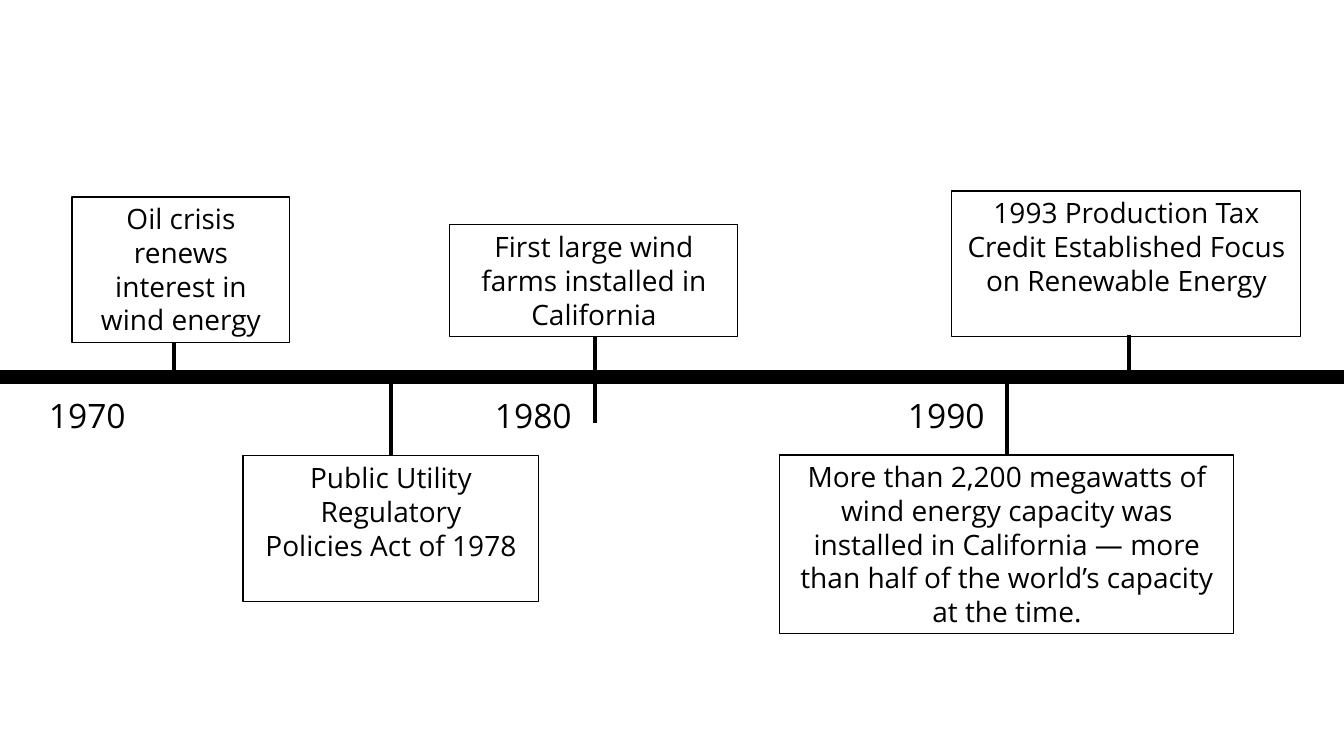
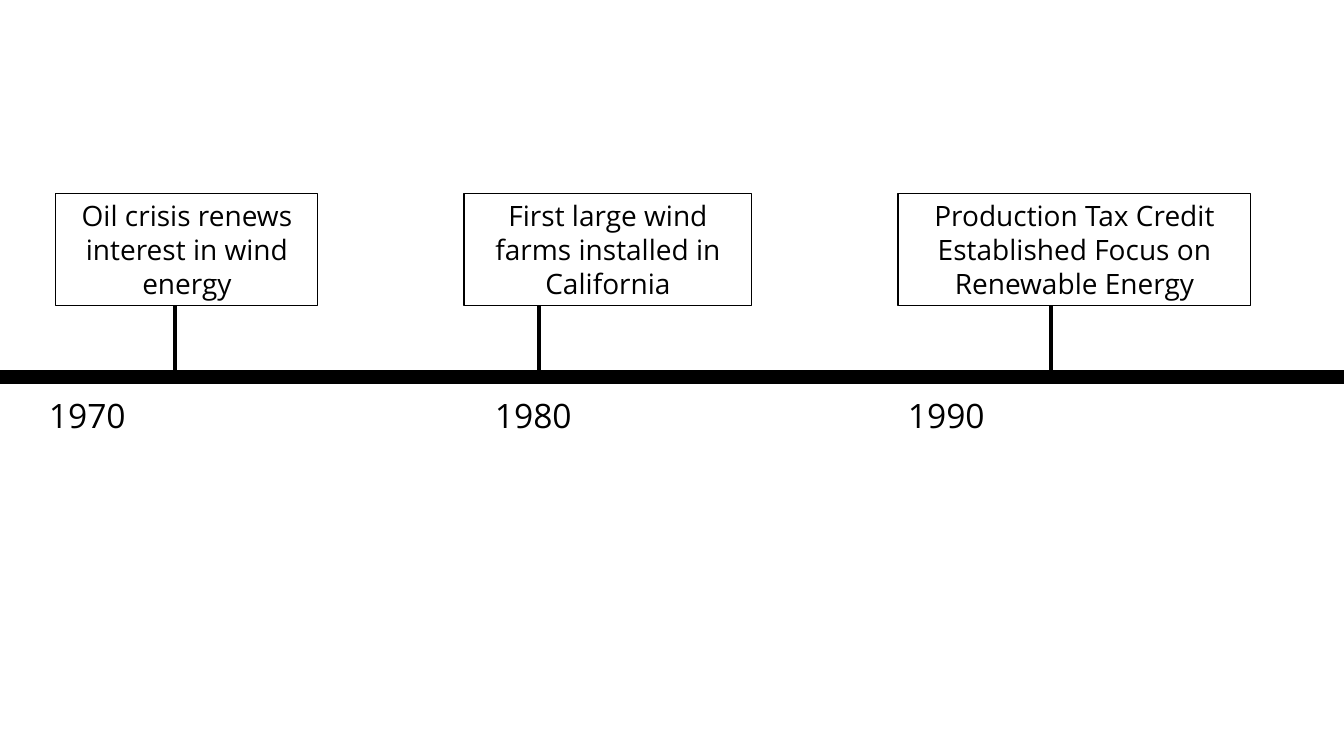
"""Build two wind energy timeline slides from 1970 to 1990."""
import pptx
import pptx.dml.color
import pptx.enum.shapes
import pptx.enum.text
import pptx.oxml.ns
import pptx.util

COLORS = {"ink": "000000", "paper": "FFFFFF"}
FONT = "Open Sans"
PIXELS_PER_INCH = 100.8
SLIDE_WIDTH, SLIDE_HEIGHT = 1344, 756
AXIS_Y = 377
YEAR_TOP, YEAR_WIDTH, YEAR_HEIGHT = 390, 110, 50

OIL_CRISIS = "Oil crisis renews interest in wind energy"
WIND_FARMS = "First large wind farms installed in California"
YEARS = [("1970", 39), ("1980", 485), ("1990", 898)]

SLIDES = [
    {
        "events": [
            ([WIND_FARMS], (450, 225, 288, 112)),
            ([OIL_CRISIS], (72, 197, 218, 146)),
            (["Public Utility Regulatory", "Policies Act of 1978"], (243, 456, 296, 146)),
            (["1993 Production Tax Credit Established Focus on Renewable Energy"],
             (952, 191, 349, 146)),
            (["More than 2,200 megawatts of wind energy capacity was installed in "
              "California — more than half of the world’s capacity at the time."],
             (780, 455, 454, 179)),
        ],
        "stems": [(595, 423, 337), (1007, 456, 371), (1129, 371, 335),
                  (391, 456, 384), (174, 378, 343)],
    },
    {
        "events": [
            ([WIND_FARMS], (464, 194, 288, 112)),
            ([OIL_CRISIS], (56, 194, 262, 112)),
            (["Production Tax Credit Established Focus on Renewable Energy"],
             (898, 194, 353, 112)),
        ],
        "stems": [(x, AXIS_Y, 306) for x in (539, 175, 1051)],
    },
]


def pixels(value):
    return pptx.util.Inches(value / PIXELS_PER_INCH)


def color(name):
    return pptx.dml.color.RGBColor.from_string(COLORS[name])


def add_text(slide, paragraphs, box, size=20, align="LEFT", border=None):
    shape = slide.shapes.add_textbox(*map(pixels, box))
    if border:
        shape.line.color.rgb = color("ink")
        shape.line.width = pptx.util.Pt(border)
    frame = shape.text_frame
    frame.word_wrap = True
    frame.text = "\n".join(paragraphs)
    for paragraph in frame.paragraphs:
        paragraph.alignment = getattr(pptx.enum.text.PP_ALIGN, align)
        font = paragraph.runs[0].font
        font.name, font.size = FONT, pptx.util.Pt(size)
        font.color.rgb = color("ink")


def add_line(slide, start, end, width):
    connector = slide.shapes.add_connector(
        pptx.enum.shapes.MSO_CONNECTOR.STRAIGHT, *map(pixels, start + end))
    connector.line.color.rgb = color("ink")
    connector.line.width = pptx.util.Pt(width)
    properties = connector._element.spPr
    properties.append(properties.makeelement(pptx.oxml.ns.qn("a:effectLst"), {}))


def add_timeline(slide):
    add_line(slide, (0, AXIS_Y), (SLIDE_WIDTH, AXIS_Y), 10)
    for year, left in YEARS:
        add_text(slide, [year], (left, YEAR_TOP, YEAR_WIDTH, YEAR_HEIGHT), size=24)


presentation = pptx.Presentation()
presentation.slide_width = pixels(SLIDE_WIDTH)
presentation.slide_height = pixels(SLIDE_HEIGHT)
background = presentation.slide_master.background.fill
background.solid()
background.fore_color.rgb = color("paper")
blank_layout = presentation.slide_layouts.get_by_name("Blank")

for content in SLIDES:
    slide = presentation.slides.add_slide(blank_layout)
    add_timeline(slide)
    for paragraphs, box in content["events"]:
        add_text(slide, paragraphs, box, align="CENTER", border=0.75)
    for x, start_y, end_y in content["stems"]:
        add_line(slide, (x, start_y), (x, end_y), 3.5)

presentation.save("out.pptx")
